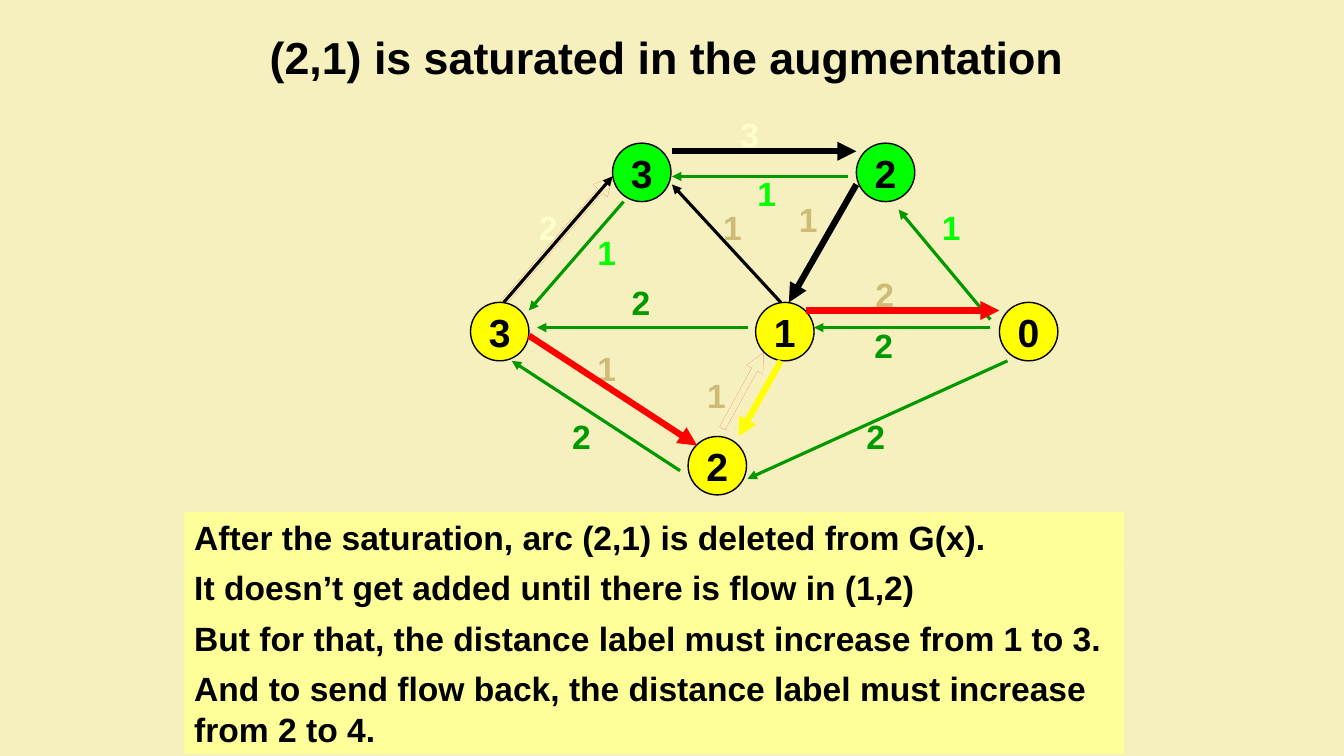
from dataclasses import dataclass

from lxml import etree
from pptx import Presentation
from pptx.dml.color import RGBColor
from pptx.enum.shapes import MSO_CONNECTOR, MSO_SHAPE
from pptx.enum.text import MSO_ANCHOR, PP_ALIGN
from pptx.oxml.ns import qn
from pptx.util import Inches, Pt

STRAIGHT = MSO_CONNECTOR.STRAIGHT
OVAL = MSO_SHAPE.OVAL
RECTANGLE = MSO_SHAPE.RECTANGLE
MIDDLE, TOP = MSO_ANCHOR.MIDDLE, MSO_ANCHOR.TOP
CENTER, LEFT = PP_ALIGN.CENTER, PP_ALIGN.LEFT
TITLE_ONLY = 5


@dataclass(frozen=True)
class Theme:
    font: str = "Arial"
    page: str = "F5F0BD"
    ink: str = "000000"
    red: str = "FF0000"
    yellow: str = "FFFF00"
    lime: str = "00FF00"
    green: str = "009900"
    tan: str = "CDBB77"
    cream: str = "FFFFCC"
    note: str = "FFFF99"
    title_size: float = 32
    node_size: float = 28
    text_size: float = 24
    thin: float = 2.25
    thick: float = 4.5
    outline: float = 1


class NetworkSlide:
    def __init__(self, deck, theme):
        self.theme = theme
        self.page = deck.slides.add_slide(deck.slide_layouts[TITLE_ONLY])
        self.page.background.fill.solid()
        self.page.background.fill.fore_color.rgb = RGBColor.from_string(theme.page)

    def set_text(self, shape, text, size, color, align=LEFT, anchor=TOP, wrap=True):
        frame = shape.text_frame
        frame.text = text
        frame.word_wrap = wrap
        frame.vertical_anchor = anchor
        para = frame.paragraphs[0]
        para.alignment = align
        for span in para.runs:
            span.font.name = self.theme.font
            span.font.size = Pt(size)
            span.font.bold = True
            span.font.color.rgb = RGBColor.from_string(color)

    def title(self, text, left, top, width, height):
        box = self.page.shapes.title
        box.left, box.top = Inches(left), Inches(top)
        box.width, box.height = Inches(width), Inches(height)
        self.set_text(box, text, self.theme.title_size, self.theme.ink, CENTER, MIDDLE)

    def shape(self, kind, left, top, width, height, fill):
        shape = self.page.shapes.add_shape(
            kind, Inches(left), Inches(top), Inches(width), Inches(height))
        shape.shadow.inherit = False
        shape.fill.solid()
        shape.fill.fore_color.rgb = RGBColor.from_string(fill)
        shape.line.fill.background()
        return shape

    def node(self, distance, left, top, fill):
        oval = self.shape(OVAL, left, top, 0.58, 0.58, fill)
        oval.line.color.rgb = RGBColor.from_string(self.theme.ink)
        oval.line.width = Pt(self.theme.outline)
        self.set_text(oval, distance, self.theme.node_size, self.theme.ink,
                      CENTER, MIDDLE, wrap=False)

    def label(self, text, left, top, color):
        box = self.page.shapes.add_textbox(
            Inches(left), Inches(top), Inches(0.59), Inches(0.5))
        self.set_text(box, text, self.theme.text_size, color)

    def note(self, text, top, height):
        box = self.shape(RECTANGLE, 1.83, top, 9.33, height, self.theme.note)
        self.set_text(box, text, self.theme.text_size, self.theme.ink)

    def arc(self, start, end, color, width):
        arrow = self.page.shapes.add_connector(
            STRAIGHT, *(Inches(length) for length in (*start, *end)))
        arrow.line.color.rgb = RGBColor.from_string(color)
        arrow.line.width = Pt(width)
        properties = arrow.element.spPr
        etree.SubElement(properties.find(qn("a:ln")), qn("a:tailEnd"), type="triangle")
        etree.SubElement(properties, qn("a:effectLst"))

    def faded_arc(self, start, end):
        for color in (self.theme.red, self.theme.page):
            self.arc(start, end, color, self.theme.thick)


def main():
    theme = Theme()
    deck = Presentation()
    deck.slide_width, deck.slide_height = Inches(13.34), Inches(7.5)
    slide = NetworkSlide(deck, theme)
    slide.title("(2,1) is saturated in the augmentation", 0.62, 0.13, 12, 0.87)

    capacities = [
        ("2", 8.5, 4.08, theme.green), ("2", 5.58, 4.08, theme.green),
        ("2", 8.58, 3.17, theme.green), ("2", 6.17, 2.75, theme.green),
        ("2", 8.59, 2.67, theme.tan), ("1", 7.83, 1.92, theme.tan),
        ("1", 6.92, 3.67, theme.tan), ("1", 5.83, 3.4, theme.tan),
        ("1", 7.08, 2, theme.tan), ("1", 9.25, 2, theme.lime),
        ("1", 7.42, 1.67, theme.lime), ("1", 5.83, 2.25, theme.lime),
        ("2", 5.25, 2, theme.cream), ("3", 7.25, 1.08, theme.cream),
    ]
    for capacity in capacities:
        slide.label(*capacity)

    reverse_arcs = [
        ((7.42, 3.25), (5.33, 3.25)), ((9.83, 3.25), (8.08, 3.25)),
        ((6.75, 4.67), (5.08, 3.58)), ((10, 3.58), (7.42, 4.75)),
        ((6.19, 2), (5.25, 3.08)), ((8.42, 1.75), (6.67, 1.75)),
        ((9.83, 3.17), (8.92, 2.08)),
    ]
    for start, end in reverse_arcs:
        slide.arc(start, end, theme.green, theme.thin)
    slide.arc((7.75, 3), (6.67, 1.83), theme.ink, theme.thin)
    slide.faded_arc((5, 3), (6.08, 1.75))
    slide.arc((5, 3), (6.08, 1.75), theme.ink, theme.thin)

    nodes = [
        ("3", 6.08, 1.42, theme.lime), ("2", 8.5, 1.42, theme.lime),
        ("3", 4.67, 3, theme.yellow), ("1", 7.5, 3, theme.yellow),
        ("0", 9.92, 3, theme.yellow), ("2", 6.83, 4.33, theme.yellow),
    ]
    for node in nodes:
        slide.node(*node)

    slide.faded_arc((7.17, 4.25), (7.58, 3.5))
    augmenting_arcs = [
        ((6.67, 1.5), (8.5, 1.5), theme.ink),
        ((8.5, 1.83), (7.83, 3), theme.ink),
        ((5.25, 3.33), (6.92, 4.42), theme.red),
        ((8, 3.08), (9.92, 3.08), theme.red),
        ((7.75, 3.58), (7.33, 4.33), theme.yellow),
    ]
    for start, end, color in augmenting_arcs:
        slide.arc(start, end, color, theme.thick)

    notes = [
        ("After the saturation, arc (2,1) is deleted from G(x).", 0.5),
        ("It doesn’t get added until there is flow in (1,2)", 0.5),
        ("But for that, the distance label must increase from 1 to 3.", 0.5),
        ("And to send flow back, the distance label must increase from 2 to 4.", 0.9),
    ]
    for row, (text, height) in enumerate(notes):
        slide.note(text, 5.08 + 0.5 * row, height)

    deck.save("out.pptx")


if __name__ == "__main__":
    main()
